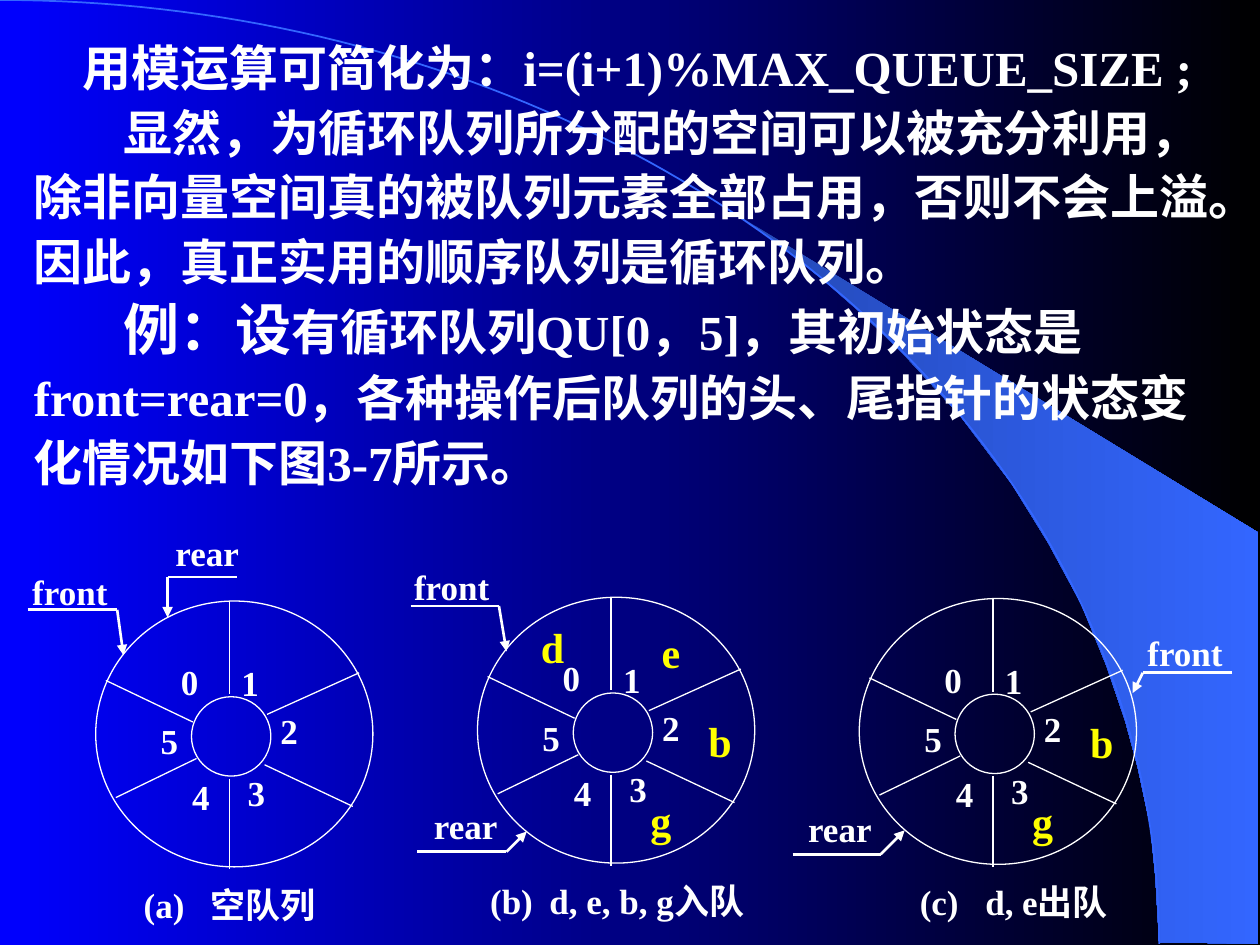
import math
from dataclasses import dataclass

from lxml import etree
from pptx import Presentation
from pptx.dml.color import RGBColor
from pptx.enum.shapes import MSO_CONNECTOR, MSO_SHAPE
from pptx.enum.text import MSO_ANCHOR, PP_ALIGN
from pptx.oxml.ns import qn
from pptx.util import Emu, Pt

LINE = MSO_CONNECTOR.STRAIGHT
OVAL = MSO_SHAPE.OVAL
MIDDLE = MSO_ANCHOR.MIDDLE
CENTER, LEFT = PP_ALIGN.CENTER, PP_ALIGN.LEFT
PX = 9144  # 100 px to the inch


@dataclass(frozen=True)
class Theme:
    white: str = "FFFFFF"
    yellow: str = "FFFF00"
    blue: str = "0000FF"
    black: str = "000000"
    swoosh: str = "2449B6"
    arc: str = "3366FF"
    latin: str = "Times New Roman"
    asian: str = "Noto Sans CJK SC"
    body: int = 28
    lead: int = 32
    label: int = 20
    item: int = 24
    thin: float = 0.75
    thick: float = 1.5


T = Theme()

SPOKES = [(106, 0, 106, 74), (106, 141, 106, 213), (136, 90, 209, 57),
          (16, 156, 80, 125), (134, 130, 204, 163), (8, 63, 77, 96)]
INDEX_SPOTS = [(55, 48), (103, 49), (134, 87), (108, 136), (64, 139), (39, 95)]
ITEM_SPOTS = {"d": (40, 20), "e": (134, 24), "b": (173, 94), "g": (126, 157)}

# Pointers: name, label box, then start, corner and tip of the arrow
QUEUES = [
    dict(box=(76, 477), items="", caption=("(a)", "空队列", 38, 53), pointers=[
        ("front", (-56, -27, 71), (-54, 7), (17, 7), (22, 43)),
        ("rear", (57, -58, 63), (112, -19), (57, -19), (57, 13))]),
    dict(box=(379, 474), items="debg", caption=("(b)", "d, e, b, g入队", 10, 47), pointers=[
        ("front", (-56, -28, 71), (-53, 7), (17, 7), (23, 43)),
        ("rear", (-37, 162, 55), (-48, 202), (23, 202), (39, 186))]),
    dict(box=(682, 475), items="bg", caption=("(c)", "d, e出队", 48, 52), pointers=[
        ("front", (223, 23, 71), (296, 59), (225, 59), (217, 75)),
        ("rear", (-43, 163, 55), (-53, 203), (17, 203), (36, 184))]),
]


def px(n):
    return Emu(round(n * PX))


def rgb(color):
    return RGBColor.from_string(color)


def set_gradient(fill, *colors):
    fill.gradient()
    fill.gradient_angle = 0
    for stop, color in zip(fill.gradient_stops, colors):
        stop.color.rgb = rgb(color)


def style_paragraph(p, size, color=T.white):
    f = p.font
    f.name, f.size, f.bold = T.latin, Pt(size), True
    f.color.rgb = rgb(color)
    def_rpr = p._p.get_or_add_pPr().find(qn("a:defRPr"))
    etree.SubElement(def_rpr, qn("a:ea"), typeface=T.asian)


def add_label(s, text, x, y, w, h, size=T.label, color=T.white, tab=None):
    tf = s.shapes.add_textbox(px(x), px(y), px(w), px(h)).text_frame
    tf.margin_left = tf.margin_right = tf.margin_top = tf.margin_bottom = 0
    tf.vertical_anchor = MIDDLE
    tf.word_wrap = tab is not None
    p = tf.paragraphs[0]
    p.text = text
    p.alignment = CENTER if tab is None else LEFT
    if tab is not None:
        tabs = etree.SubElement(p._p.get_or_add_pPr(), qn("a:tabLst"))
        etree.SubElement(tabs, qn("a:tab"), pos=str(px(tab)), algn="l")
    style_paragraph(p, size, color)


def add_line(s, start, end, width, arrow=False):
    c = s.shapes.add_connector(LINE, *(px(n) for n in (*start, *end)))
    c.line.color.rgb = rgb(T.white)
    c.line.width = Pt(width)
    if arrow:
        etree.SubElement(c.line._get_or_add_ln(), qn("a:tailEnd"), type="triangle")
    etree.SubElement(c._element.spPr, qn("a:effectLst"))


def add_ring(s, x, y, w, h):
    sp = s.shapes.add_shape(OVAL, px(x), px(y), px(w), px(h))
    sp.shadow.inherit = False
    sp.fill.background()
    sp.line.color.rgb = rgb(T.white)
    sp.line.width = Pt(T.thin)


def add_outline(s, points, closed):
    points = [(px(x), px(y)) for x, y in points]
    fb = s.shapes.build_freeform(*points[0], scale=1.0)
    fb.add_line_segments(points[1:], close=closed)
    sp = fb.convert_to_shape()
    sp.shadow.inherit = False
    return sp


def backdrop(s, w, h):
    set_gradient(s.background.fill, T.blue, T.black)
    # Swoosh at the right
    swoosh = add_outline(s, [
        (920, 748), (999, 749), (999, 423), (589, 173), (624, 199), (653, 222),
        (685, 250), (716, 280), (762, 330), (803, 384), (832, 431), (858, 479),
        (878, 528), (893, 572), (903, 609), (913, 656), (917, 696)], True)
    set_gradient(swoosh.fill, T.swoosh, T.arc)
    swoosh.line.fill.background()
    # Quarter ellipse from the top left corner
    steps = 90
    angles = [math.pi / 2 * i / steps for i in range(steps + 1)]
    arc = add_outline(s, [(w * math.sin(a), h * (1 - math.cos(a))) for a in angles], False)
    arc.fill.background()
    arc.line.color.rgb = rgb(T.arc)
    arc.line.width = Pt(1)


def body_text(s, x, y, w, h):
    # Each paragraph: left margin, first-line indent, space before, runs
    paragraphs = [
        (39, 0, 0, [("用模运算可简化为：i=(i+1)%MAX_QUEUE_SIZE ;", T.body)]),
        (0, 71, 0, [("显然，为循环队列所分配的空间可以被充分利用，除非向量空间真的被队列元素"
                     "全部占用，否则不会上溢。因此，真正实用的顺序队列是循环队列。", T.body)]),
        (0, 71, 4, [("例：设", T.lead),
                    ("有循环队列QU[0，5]，其初始状态是front=rear=0，各种操作后队列的头、"
                     "尾指针的状态变化情况如下图3-7所示。", T.body)]),
    ]
    tf = s.shapes.add_textbox(px(x), px(y), px(w), px(h)).text_frame
    tf.word_wrap = True
    for i, (margin, indent, before, runs) in enumerate(paragraphs):
        p = tf.add_paragraph() if i else tf.paragraphs[0]
        ppr = p._p.get_or_add_pPr()
        ppr.set("marL", str(px(margin)))
        ppr.set("indent", str(px(indent)))
        p.line_spacing = Pt(37)
        p.space_before = Pt(before)
        style_paragraph(p, T.body)
        for text, size in runs:
            r = p.add_run()
            r.text = text
            if size != T.body:
                r.font.size = Pt(size)


def queue_diagram(s, box, items, caption, pointers):
    x, y = box

    def at(point):
        return x + point[0], y + point[1]

    # Ring, hub and spokes
    add_ring(s, x + 76, y + 76, 63, 63)
    add_ring(s, x, y, 220, 211)
    for spoke in SPOKES:
        add_line(s, at(spoke[:2]), at(spoke[2:]), T.thin)
    # Slot numbers and queued items
    for i, spot in enumerate(INDEX_SPOTS):
        add_label(s, str(i), *at(spot), 39, 32)
    for item in items:
        add_label(s, item, *at(ITEM_SPOTS[item]), 39, 39, T.item, T.yellow)
    # Front and rear pointers
    for name, label, start, corner, tip in pointers:
        add_label(s, name, *at(label), label[2], 39)
        add_line(s, at(start), at(corner), T.thick)
        add_line(s, at(corner), at(tip), T.thick, arrow=True)
    # Caption
    mark, text, left, tab = caption
    add_label(s, f"{mark}\t{text}", x + left, y + 221, 230, 39, tab=tab)


def main():
    prs = Presentation()
    prs.slide_width, prs.slide_height = px(1000), px(750)
    s = prs.slides.add_slide(prs.slide_layouts[6])
    backdrop(s, 920, 749)
    body_text(s, 17, 20, 958, 390)
    for queue in QUEUES:
        queue_diagram(s, **queue)
    prs.save("out.pptx")


if __name__ == "__main__":
    main()
